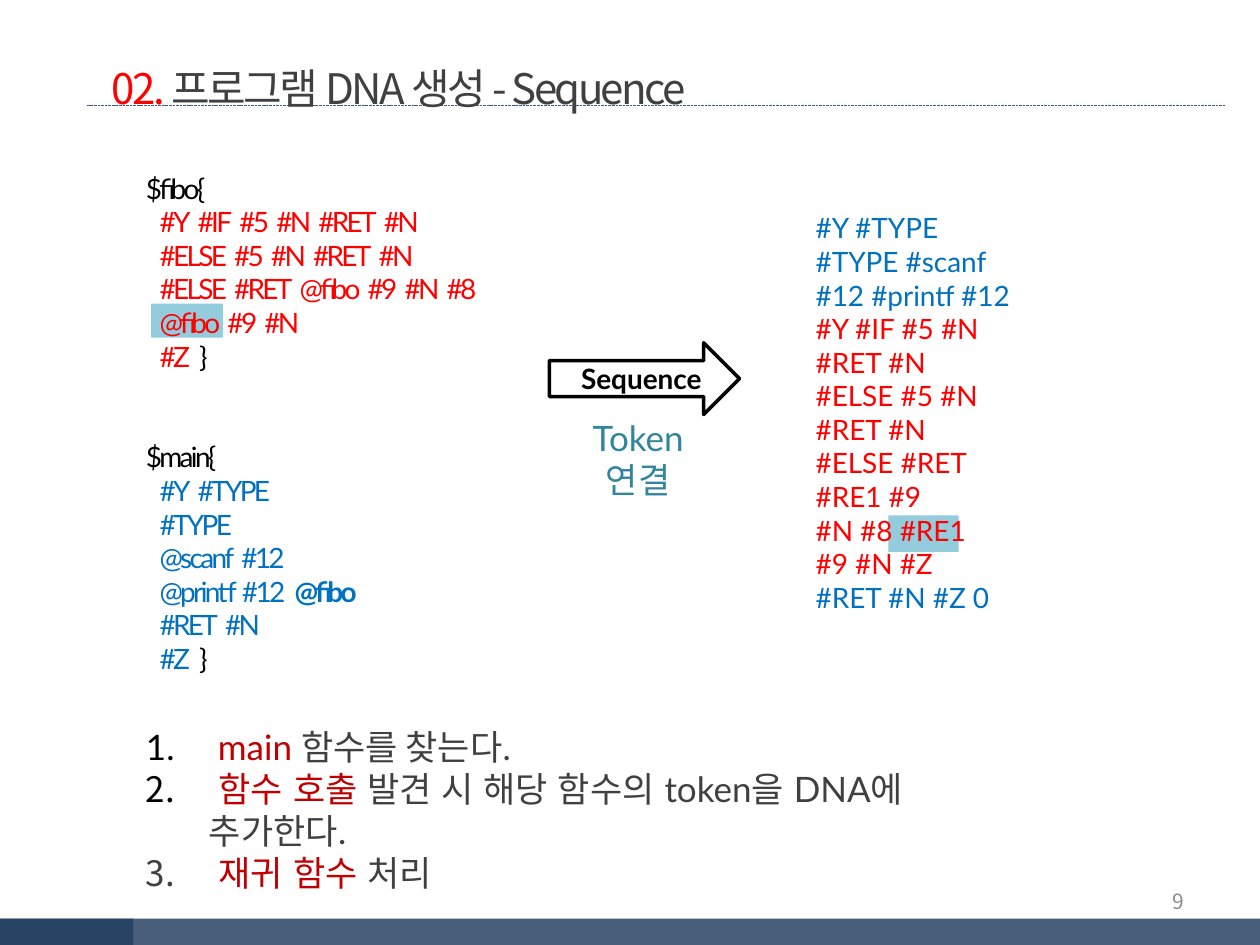
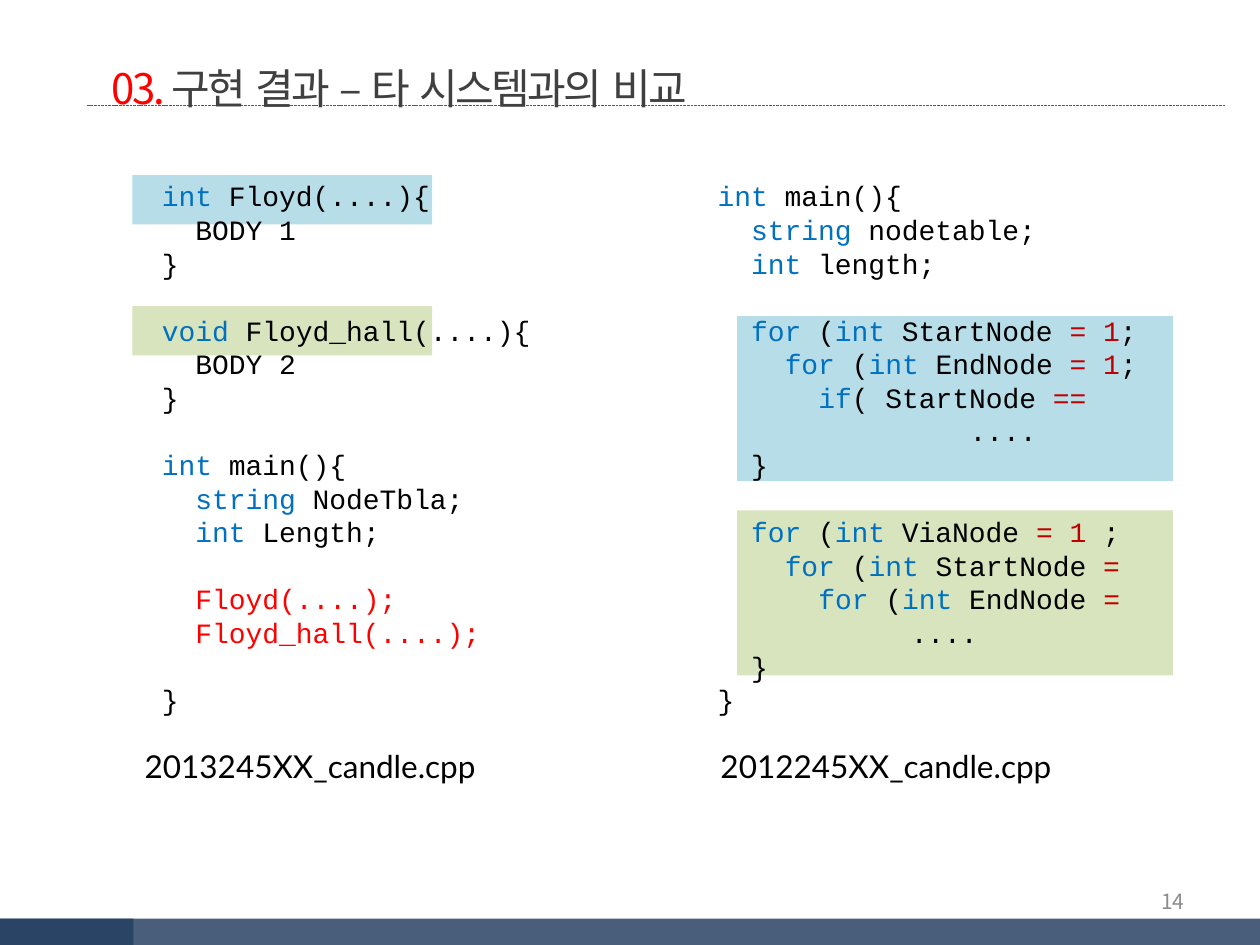
from dataclasses import dataclass

from lxml.etree import SubElement
from pptx import Presentation
from pptx.dml.color import RGBColor
from pptx.enum.dml import MSO_LINE
from pptx.enum.shapes import MSO_CONNECTOR, MSO_SHAPE as SHAPE
from pptx.enum.text import MSO_ANCHOR as ANCHOR, PP_ALIGN as ALIGN
from pptx.oxml.ns import qn
from pptx.util import Inches, Pt

BLACK = RGBColor(0x00, 0x00, 0x00)
WHITE = RGBColor(0xFF, 0xFF, 0xFF)
RED = RGBColor(0xFF, 0x00, 0x00)
DARK_RED = RGBColor(0xC0, 0x00, 0x00)
BLUE = RGBColor(0x00, 0x70, 0xC0)
TEAL = RGBColor(0x31, 0x85, 0x9C)
CHARCOAL = RGBColor(0x40, 0x40, 0x40)
PAGE_GRAY = RGBColor(0x8C, 0x8C, 0x8C)
NAVY = RGBColor(0x25, 0x40, 0x61)
RULE_BLUE = RGBColor(0x37, 0x60, 0x92)
CALL_MARK = RGBColor(0x93, 0xCD, 0xDD)
PALE_BLUE = RGBColor(0xB7, 0xDE, 0xE8)
PALE_GREEN = RGBColor(0xD7, 0xE4, 0xBD)

TITLE_FONT = "Noto Sans CJK KR"
BODY_FONT = "Lato"
CODE_FONT = "Courier New"
COLUMNS, ROWS = 100, 75
SLIDE_WIDTH, SLIDE_HEIGHT = Inches(10), Inches(7.5)
LINE_PITCH = Pt(19.2)
MONO_CHAR = Pt(9.6)
TOKEN_INDENT = Pt(7.8)
TIGHT = -150


@dataclass
class Line:
    """One paragraph: its spans, its indent in steps and the empty lines above it."""
    spans: list
    indent: float = 0
    gap: int = 0


def span(text, **style):
    return text, style


def keyword(text):
    return span(text, color=BLUE)


def value(text):
    return span(text, color=DARK_RED)


def code(*parts, indent=0, gap=0):
    spans = [span(part) if isinstance(part, str) else part for part in parts]
    return Line(spans, indent, gap)


def spaced(text, color, letters=TIGHT, spaces=-50, **style):
    """Spans whose words and spaces have different letter spacing."""
    spans = []
    for word in text.split():
        if spans:
            spans.append(span(" ", color=color, spacing=spaces))
        spans.append(span(word, color=color, spacing=letters, **style))
    return spans


def column(number):
    return round(SLIDE_WIDTH * number / COLUMNS)


def row(number):
    return round(SLIDE_HEIGHT * number / ROWS)


def place(left, top, width, height):
    return column(left), row(top), column(width), row(height)


def format_run(run, size, font, color, bold=False, spacing=0):
    run.font.size = Pt(size)
    run.font.name = font
    run.font.bold = bold
    run.font.color.rgb = color
    properties = run.font._element
    if spacing:
        properties.set("spc", str(spacing))
    latin = properties.find(qn("a:latin"))
    east_asian = SubElement(properties, qn("a:ea"), typeface=TITLE_FONT)
    latin.addnext(east_asian)


def add_text(page, area, lines, size=16, font=BODY_FONT, color=BLACK, bold=False,
             spacing=0, align=ALIGN.LEFT, anchor=ANCHOR.TOP, wrap=True,
             inset=(0.1, 0.05), line_spacing=None, step=0, numbered=False):
    """Add a text box; lines is a string or a list of Line."""
    frame = page.shapes.add_textbox(*place(*area)).text_frame
    frame.word_wrap = wrap
    frame.vertical_anchor = anchor
    frame.margin_left = frame.margin_right = Inches(inset[0])
    frame.margin_top = frame.margin_bottom = Inches(inset[1])
    if isinstance(lines, str):
        lines = [code(lines)]
    for index, line in enumerate(lines):
        para = frame.paragraphs[0] if index == 0 else frame.add_paragraph()
        para.alignment = align
        if line_spacing:
            para.line_spacing = line_spacing
        if line.gap:
            para.space_before = LINE_PITCH * line.gap
        properties = para._p.get_or_add_pPr()
        if line.indent:
            properties.set("marL", str(round(step * line.indent)))
        if numbered:
            properties.set("marL", str(Inches(0.5)))
            properties.set("indent", str(-Inches(0.5)))
            SubElement(properties, qn("a:buFont"), typeface="+mj-lt")
            SubElement(properties, qn("a:buAutoNum"), type="arabicPeriod")
        for text, style in line.spans:
            run = para.add_run()
            run.text = text
            format_run(run, **{"size": size, "font": font, "color": color,
                               "bold": bold, "spacing": spacing, **style})


def add_block(page, area, fill, kind=SHAPE.RECTANGLE, outline=None, opacity=None):
    block = page.shapes.add_shape(kind, *place(*area))
    block.shadow.inherit = False
    block.fill.solid()
    block.fill.fore_color.rgb = fill
    if opacity:
        color = block.fill._xPr.find(qn("a:solidFill"))[0]
        SubElement(color, qn("a:alpha"), val=str(opacity * 1000))
    if outline:
        block.line.color.rgb = outline
        block.line.width = Pt(2)
    else:
        block.line.fill.background()


def add_title_rule(page):
    rule = page.shapes.add_connector(MSO_CONNECTOR.STRAIGHT, column(6.9), row(8.4),
                                     column(97.2), row(8.4))
    rule.line.color.rgb = RULE_BLUE
    rule.line.width = Pt(0.5)
    rule.line.dash_style = MSO_LINE.SQUARE_DOT
    SubElement(rule._element.spPr, qn("a:effectLst"))


def add_page(deck, section, title, number):
    """Add a slide with the shared title, rule, footer band and page number."""
    page = deck.slides.add_slide(deck.slide_layouts[6])
    add_title_rule(page)
    heading = code(span(f"{section}. ", color=RED), *title)
    add_text(page, (7.9, 2.5, 52, 6.4), [heading], size=24, font=TITLE_FONT,
             color=CHARCOAL, spacing=TIGHT, wrap=False, line_spacing=1.5)
    for width in (COLUMNS, 10.6):
        add_block(page, (0, 72.9, width, 2.1), NAVY, opacity=84)
    add_text(page, (71.7, 69.5, 23.3, 4), number, size=12, font=TITLE_FONT,
             color=PAGE_GRAY, align=ALIGN.RIGHT, anchor=ANCHOR.MIDDLE)
    return page


def add_function_tokens(page):
    fibo = ["#Y #IF #5 #N #RET #N", "#ELSE #5 #N #RET #N",
            "#ELSE #RET @fibo #9 #N #8", "@fibo #9 #N"]
    main_start = ["#Y #TYPE", "#TYPE", "@scanf #12"]
    wide_space = span(" ", spacing=120)

    def closing(color):
        return Line(spaced("#Z", color) + [wide_space] + spaced("}", BLACK), 1)

    call = spaced("@printf #12", BLUE) + [wide_space] + spaced("@fibo", BLUE, bold=True)
    lines = [
        Line(spaced("$fibo{", BLACK)),
        *(Line(spaced(text, RED), 1) for text in fibo),
        closing(RED),
        Line(spaced("$main{", BLACK), gap=2),
        *(Line(spaced(text, BLUE), 1) for text in main_start),
        Line(call, 1),
        Line(spaced("#RET #N", BLUE), 1),
        closing(BLUE),
    ]
    add_text(page, (10.6, 13.1, 34.7, 41.4), lines, step=TOKEN_INDENT,
             line_spacing=LINE_PITCH)


def add_joined_sequence(page):
    groups = [
        (BLUE, ["#Y #TYPE", "#TYPE #scanf", "#12 #printf #12"]),
        (RED, ["#Y #IF #5 #N", "#RET #N", "#ELSE #5 #N", "#RET #N", "#ELSE #RET",
               "#RE1 #9", "#N #8 #RE1", "#9 #N #Z"]),
        (BLUE, ["#RET #N #Z 0"]),
    ]
    lines = [code(span(text, color=color)) for color, texts in groups for text in texts]
    add_text(page, (63.75, 16.25, 22, 34), lines, line_spacing=LINE_PITCH)


def add_sequence_slide(deck):
    page = add_page(deck, "02", ["프로그램 DNA 생성 - Sequence"], "9")
    add_block(page, (12, 24.1, 5.7, 2.7), CALL_MARK)
    add_block(page, (70.5, 40.9, 5.6, 2.9), CALL_MARK)
    add_function_tokens(page)
    add_joined_sequence(page)
    add_block(page, (43.6, 27.2, 15.1, 5.7), WHITE, SHAPE.RIGHT_ARROW, BLACK)
    add_text(page, (43.2, 28.2, 15.4, 3.7), "Sequence", bold=True,
             align=ALIGN.CENTER, wrap=False)
    add_text(page, (42.9, 32.6, 15.5, 7.7), "Token 연결", size=20, color=TEAL,
             align=ALIGN.CENTER, inset=(0.3, 0.05))

    def korean(text, color):
        return spaced(text, color, letters=0, spaces=110)

    loose_space = span(" ", spacing=110)
    steps = [
        code(span(" ", color=BLACK), value("main"), " 함수를 찾는다."),
        code(span(" ", color=BLACK, spacing=110), *korean("함수 호출", DARK_RED),
             loose_space,
             *korean("발견 시 해당 함수의 token을 DNA에 추가한다.", CHARCOAL)),
        code(loose_space, *korean("재귀 함수", DARK_RED), loose_space, "처리"),
    ]
    add_text(page, (10.6, 57.1, 72.8, 14.3), steps, size=20, color=CHARCOAL,
             numbered=True)


def loop(name, *ending, indent, gap=0):
    return code(keyword("for "), "(", keyword("int"), f" {name} ", *ending,
                indent=indent, gap=gap)


def add_program(page, left, file_left, lines, file_name):
    add_text(page, (left, 13.1, 43, 45.5), lines, font=CODE_FONT, step=MONO_CHAR,
             inset=(0.24, 0.11), line_spacing=LINE_PITCH)
    add_text(page, (file_left, 58.8, 34, 4), file_name, size=18, wrap=False)


def add_comparison_slide(deck):
    title = spaced("구현 결과 – 타 시스템과의 비교", CHARCOAL, spaces=0)
    page = add_page(deck, "03", title, "14")
    for top, fill in ((13.9, PALE_BLUE), (24.3, PALE_GREEN)):
        add_block(page, (10.5, top, 23.8, 3.9), fill)
    for top, fill in ((25.1, PALE_BLUE), (40.5, PALE_GREEN)):
        add_block(page, (58.5, top, 34.6, 13.1), fill)

    with_functions = [
        code(keyword("int"), " Floyd(....){"),
        code("BODY 1", indent=2),
        code("}"),
        code(keyword("void"), " Floyd_hall(....){", gap=1),
        code("BODY 2", indent=2),
        code("}"),
        code(keyword("int"), " main(){", gap=1),
        code(keyword("string"), " NodeTbla;", indent=2),
        code(keyword("int"), " Length;", indent=2),
        code(span("Floyd(....);", color=RED), indent=2, gap=1),
        code(span("Floyd_hall(....);", color=RED), indent=2),
        code("}", gap=1),
    ]
    with_loops = [
        code(keyword("int"), " main(){"),
        code(keyword("string"), " nodetable;", indent=2),
        code(keyword("int"), " length;", indent=2),
        loop("StartNode", value("= 1"), ";", indent=2, gap=1),
        loop("EndNode", value("= 1"), ";", indent=4),
        code(keyword("if"), "( StartNode ", value("=="), indent=6),
        code("....", indent=15),
        code("}", indent=2),
        loop("ViaNode", value("= 1 "), ";", indent=2, gap=1),
        loop("StartNode", value("="), indent=4),
        loop("EndNode", value("="), indent=6),
        code("....", indent=11.5),
        code("}", indent=2),
        code("}"),
    ]
    add_program(page, 10.45, 10.5, with_functions, "2013245XX_candle.cpp")
    add_program(page, 54.55, 56.2, with_loops, "2012245XX_candle.cpp")


def main():
    deck = Presentation()
    deck.slide_width, deck.slide_height = SLIDE_WIDTH, SLIDE_HEIGHT
    add_sequence_slide(deck)
    add_comparison_slide(deck)
    deck.save("out.pptx")


if __name__ == "__main__":
    main()
